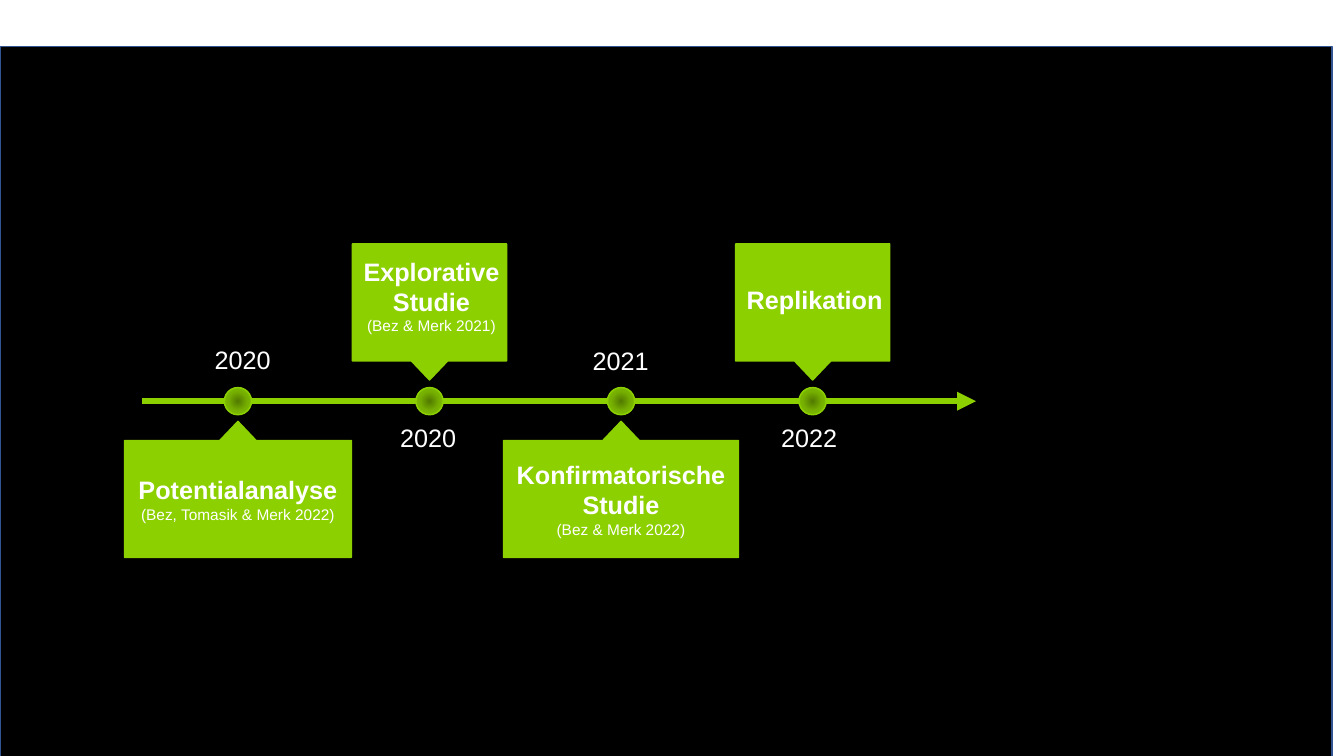
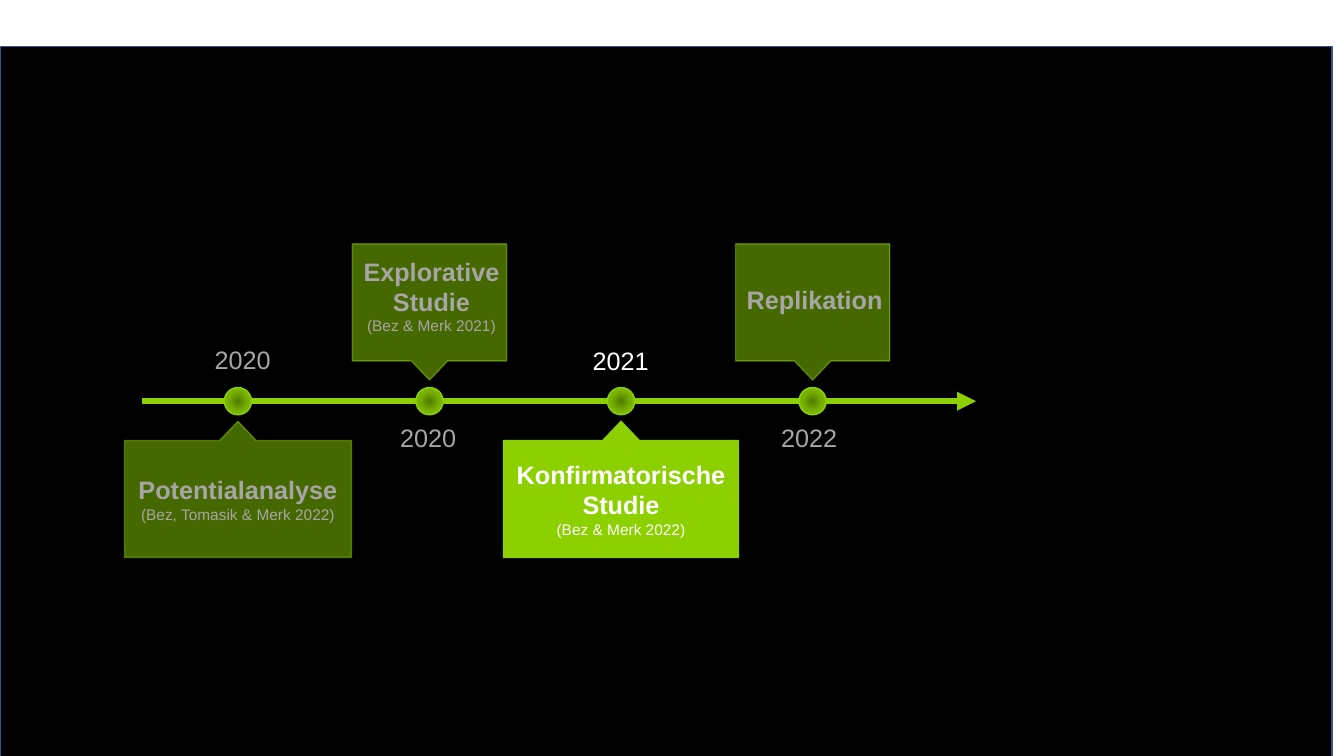
from dataclasses import dataclass

from lxml.etree import SubElement
from pptx import Presentation
from pptx.dml.color import RGBColor as Rgb
from pptx.enum.shapes import MSO_CONNECTOR as Link, MSO_SHAPE as Form
from pptx.enum.text import MSO_ANCHOR as Anchor, MSO_AUTO_SIZE as Fit, PP_ALIGN as Align
from pptx.oxml import parse_xml
from pptx.oxml.ns import nsdecls, qn
from pptx.shapes.autoshape import Shape
from pptx.slide import Slide
from pptx.text.text import TextFrame
from pptx.util import Inches, Pt


@dataclass(frozen=True)
class Theme:
    """Colours and type sizes of the deck."""
    font: str = "Arial"
    green: str = "8CD000"
    back: str = "000000"
    edge: str = "325491"
    light: str = "FFFFFF"
    dim: str = "A6A6A6"
    glow: tuple = ((0, "537B00"), (50, "76AF00"), (100, "8CD000"))
    fade: int = 50
    head: int = 18
    cite: int = 11


@dataclass(frozen=True)
class Stop:
    """One study on the time line; a card above the line has its own text box."""
    year: str
    year_left: float
    year_top: float
    width: float
    heads: tuple[str, ...]
    cite: str = ""
    above: bool = False
    text_top: float = 0
    text_high: float = 0


THEME = Theme()
FIRST, STEP = 2.36, 1.9
AXIS = 3.98
DOT = 0.27
HIGH = 1.35
TOP_ABOVE, TOP_BELOW = 2.42, 4.18
STOPS = (
    Stop("2020", 2.03, 3.37, 2.25, ("Potentialanalyse",), "(Bez, Tomasik & Merk 2022)"),
    Stop("2020", 3.87, 4.14, 1.53, ("Explorative", "Studie"), "(Bez & Merk 2021)",
         True, 2.49, 0.89),
    Stop("2021", 5.78, 3.38, 2.33, ("Konfirmatorische Studie",), "(Bez & Merk 2022)"),
    Stop("2022", 7.65, 4.14, 1.53, ("Replikation",), "", True, 2.77, 0.4),
)


def add_form(slide: Slide, form: Form, left: float, top: float, width: float,
             high: float, fill: str, line: str) -> Shape:
    """Add a flat preset shape with a thin outline."""
    shape = slide.shapes.add_shape(form, Inches(left), Inches(top), Inches(width), Inches(high))
    shape.shadow.inherit = False
    shape.fill.solid()
    shape.fill.fore_color.rgb = Rgb.from_string(fill)
    shape.line.color.rgb = Rgb.from_string(line)
    shape.line.width = Pt(1)
    return shape


def add_box(slide: Slide, left: float, top: float, width: float, high: float) -> TextFrame:
    """Add a wrapping text box that grows with its text."""
    box = slide.shapes.add_textbox(Inches(left), Inches(top), Inches(width), Inches(high))
    frame = box.text_frame
    frame.word_wrap = True
    frame.auto_size = Fit.SHAPE_TO_FIT_TEXT
    return frame


def write(frame: TextFrame, heads: tuple[str, ...], cite: str, color: str,
          bold: bool = True, align: Align = Align.CENTER) -> None:
    """Write the head lines and, if given, the small source line."""
    lines = [(head, THEME.head, bold) for head in heads]
    if cite:
        lines.append((cite, THEME.cite, False))
    for i, (text, size, strong) in enumerate(lines):
        para = frame.add_paragraph() if i else frame.paragraphs[0]
        para.text = text
        para.alignment = align
        font = para.font
        font.name, font.size, font.bold = THEME.font, Pt(size), strong
        font.color.rgb = Rgb.from_string(color)


def add_axis(slide: Slide) -> None:
    """Draw the time arrow."""
    axis = slide.shapes.add_connector(Link.STRAIGHT, Inches(1.41), Inches(AXIS),
                                      Inches(9.68), Inches(AXIS))
    axis.line.color.rgb = Rgb.from_string(THEME.green)
    axis.line.width = Pt(4.5)
    props = axis.line._get_or_add_ln()
    SubElement(props, qn("a:tailEnd"), type="triangle")
    SubElement(props.getparent(), qn("a:effectLst"))


def add_dot(slide: Slide, mid: float) -> None:
    """Draw a dot with a round gradient on the time arrow."""
    dot = add_form(slide, Form.OVAL, mid - DOT / 2, AXIS - DOT / 2, DOT, DOT,
                   THEME.green, THEME.green)
    marks = "".join(f'<a:gs pos="{at * 1000}"><a:srgbClr val="{color}"/></a:gs>'
                    for at, color in THEME.glow)
    glow = parse_xml(f'<a:gradFill {nsdecls("a")} rotWithShape="1"><a:gsLst>{marks}</a:gsLst>'
                     '<a:path path="circle"><a:fillToRect l="50000" t="50000" r="50000" '
                     'b="50000"/></a:path></a:gradFill>')
    props = dot._element.spPr
    props.replace(props.find(qn("a:solidFill")), glow)


def add_card(slide: Slide, stop: Stop, mid: float, lit: bool) -> None:
    """Draw the callout of a study with its text, faded unless lit."""
    top = TOP_ABOVE if stop.above else TOP_BELOW
    card = add_form(slide, Form.UP_ARROW_CALLOUT, mid - stop.width / 2, top, stop.width, HIGH,
                    THEME.green, THEME.green)
    for i, ratio in enumerate((0.268, 0.134, 0.141, 0.859)):
        card.adjustments[i] = ratio
    if not lit:
        for color in card._element.spPr.iter(qn("a:srgbClr")):
            SubElement(color, qn("a:alpha"), val=str(THEME.fade * 1000))
    if stop.above:
        card.rotation = 180
        wide = 1.63
        frame = add_box(slide, mid + 0.02 - wide / 2, stop.text_top, wide, stop.text_high)
    else:
        frame = card.text_frame
        frame.word_wrap = True
        frame.vertical_anchor = Anchor.MIDDLE
    write(frame, stop.heads, stop.cite, ink(lit))


def ink(lit: bool) -> str:
    """Give the text colour of a lit or dimmed study."""
    return THEME.light if lit else THEME.dim


def add_slide(deck: Presentation, focus: set[int]) -> None:
    """Build the time line with the studies in focus lit."""
    slide = deck.slides.add_slide(deck.slide_layouts[6])
    add_form(slide, Form.RECTANGLE, 0, 0.46, 13.21, 7.31, THEME.back, THEME.edge)
    add_axis(slide)
    mids = [FIRST + STEP * i for i in range(len(STOPS))]
    for mid in mids:
        add_dot(slide, mid)
    for i, (stop, mid) in enumerate(zip(STOPS, mids)):
        add_card(slide, stop, mid, i in focus)
    for i, stop in enumerate(STOPS):
        frame = add_box(slide, stop.year_left, stop.year_top, 0.83, 0.4)
        write(frame, (stop.year,), "", ink(i in focus), False, Align.LEFT)


def main() -> None:
    """Build and save the deck."""
    deck = Presentation()
    deck.slide_width, deck.slide_height = Inches(13.33), Inches(7.5)
    for focus in (set(range(len(STOPS))), {2}):
        add_slide(deck, focus)
    deck.save("out.pptx")


main()
